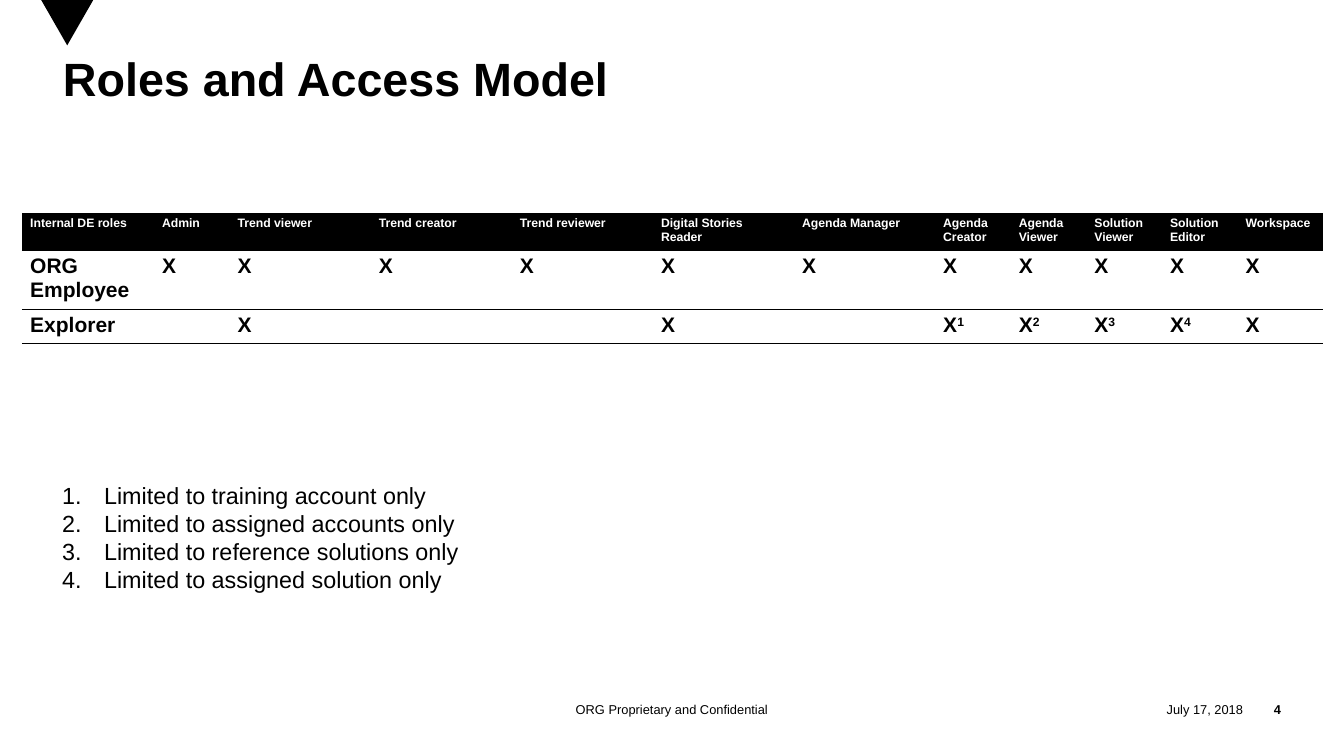
from lxml import etree
from pptx import Presentation
from pptx.dml.color import RGBColor
from pptx.enum.text import MSO_ANCHOR, PP_ALIGN
from pptx.oxml.ns import qn
from pptx.util import Inches, Pt

LEFT, MID, RIGHT = PP_ALIGN.LEFT, PP_ALIGN.CENTER, PP_ALIGN.RIGHT
TOP, CENTER = MSO_ANCHOR.TOP, MSO_ANCHOR.MIDDLE
INK = {"black": "000000", "white": "FFFFFF"}
PLAIN = "{2D5ABB26-0587-4C30-8999-92F81FD0307C}"
WIDTHS = [1.57, 0.9] + [1.68] * 5 + [0.9] * 4 + [1.02]
HEADS = ["Internal DE roles", "Admin", "Trend viewer", "Trend creator",
         "Trend reviewer", "Digital Stories Reader", "Agenda Manager",
         "Agenda Creator", "Agenda Viewer", "Solution Viewer",
         "Solution Editor", "Workspace"]
ROWS = [HEADS,
        ["ORG Employee"] + ["X"] * 11,
        ["Explorer", "", "X", "", "", "X", "", "X1", "X2", "X3", "X4", "X"]]
NOTES = ["Limited to training account only", "Limited to assigned accounts only",
         "Limited to reference solutions only", "Limited to assigned solution only"]


def color(name):
    """Return a named colour."""
    return RGBColor.from_string(INK[name])


def write(para, text, size, bold=False, ink="black"):
    """Add a run to a paragraph and return it."""
    run = para.add_run()
    run.text = text
    look = {"name": "Arial", "size": Pt(size), "bold": bold}
    for key, value in look.items():
        setattr(run.font, key, value)
    run.font.color.rgb = color(ink)
    return run


def add_box(slide, box, align=LEFT, anchor=TOP, inset=(0, 0)):
    """Add an empty text box and return its frame."""
    frame = slide.shapes.add_textbox(*map(Inches, box)).text_frame
    side, edge = map(Inches, inset)
    look = {"word_wrap": True, "vertical_anchor": anchor,
            "margin_left": side, "margin_right": side,
            "margin_top": edge, "margin_bottom": edge}
    for key, value in look.items():
        setattr(frame, key, value)
    frame.paragraphs[0].alignment = align
    return frame


def add_mark(slide, box):
    """Draw the triangle that points down from the top edge."""
    x, y, w, h = map(Inches, box)
    pen = slide.shapes.build_freeform(x, y)
    pen.add_line_segments([(x + w // 2, y + h), (x + w, y)], close=True)
    mark = pen.convert_to_shape()
    mark.shadow.inherit = False
    mark.fill.solid()
    mark.fill.fore_color.rgb = color("black")
    mark.line.fill.background()


def add_title(slide, box):
    """Write the slide title."""
    para = add_box(slide, box).paragraphs[0]
    para.line_spacing = 0.85
    write(para, "Roles and Access Model", 40, True)


def rule(cell, points):
    """Draw the bottom border of a cell, ahead of its fill."""
    line = etree.Element(qn("a:lnB"), w=str(Pt(points)))
    fill = etree.SubElement(line, qn("a:solidFill"))
    etree.SubElement(fill, qn("a:srgbClr"), val=INK["black"])
    cell._tc.get_or_add_tcPr().insert(0, line)


def fill_cell(cell, text, head):
    """Write one cell, raising a footnote digit if it ends in one."""
    size, ink = (10.5, "white") if head else (18, "black")
    para = cell.text_frame.paragraphs[0]
    para.font.size = Pt(size)
    base = text.rstrip("1234")
    if base:
        write(para, base, size, True, ink)
    if base != text:
        run = write(para, text[len(base):], size, True, ink)
        run.font._element.set("baseline", "30000")
    if head:
        cell.fill.solid()
        cell.fill.fore_color.rgb = color("black")
    else:
        cell.fill.background()
    rule(cell, 1.5 if head else 0.5)


def add_roles(slide, box):
    """Build the table of roles and rights."""
    frame = slide.shapes.add_table(len(ROWS), len(HEADS), *map(Inches, box))
    table = frame.table
    table._tbl.tblPr.find(qn("a:tableStyleId")).text = PLAIN
    table.horz_banding = False
    for col, width in zip(table.columns, WIDTHS):
        col.width = Inches(width)
    for r, row in enumerate(ROWS):
        for c, text in enumerate(row):
            fill_cell(table.cell(r, c), text, r == 0)


def add_notes(slide, box):
    """Write the numbered limits."""
    frame = add_box(slide, box, inset=(0.1, 0.05))
    for i, text in enumerate(NOTES):
        para = frame.add_paragraph() if i else frame.paragraphs[0]
        write(para, text, 20)
        props = para._p.get_or_add_pPr()
        props.set("marL", str(Inches(0.5)))
        props.set("indent", str(-Inches(0.5)))
        etree.SubElement(props, qn("a:buFont"), typeface="+mj-lt")
        etree.SubElement(props, qn("a:buAutoNum"), type="arabicPeriod")


def add_foot(slide, box):
    """Write the notice, date and page number along the foot."""
    x, y, w, h = box
    parts = [("ORG Proprietary and Confidential", 0, 5.5, MID, False),
             ("July 17, 2018", w - 2.24, 1.79, RIGHT, False),
             ("4", w - 0.45, 0.45, RIGHT, True)]
    for text, left, width, align, bold in parts:
        frame = add_box(slide, (x + left, y, width, h), align, CENTER)
        write(frame.paragraphs[0], text, 11, bold)


def main():
    """Build and save the slide."""
    deck = Presentation()
    deck.slide_width, deck.slide_height = Inches(16), Inches(9)
    slide = deck.slides.add_slide(deck.slide_layouts[6])
    add_mark(slide, (0.49, 0, 0.62, 0.54))
    add_foot(slide, (5.25, 8.29, 10, 0.3))
    add_title(slide, (0.75, 0.7, 14.5, 1.55))
    add_roles(slide, (0.26, 2.53, 15.48, 1.23))
    add_notes(slide, (0.64, 5.68, 4.99, 1.78))
    deck.save("out.pptx")


if __name__ == "__main__":
    main()
